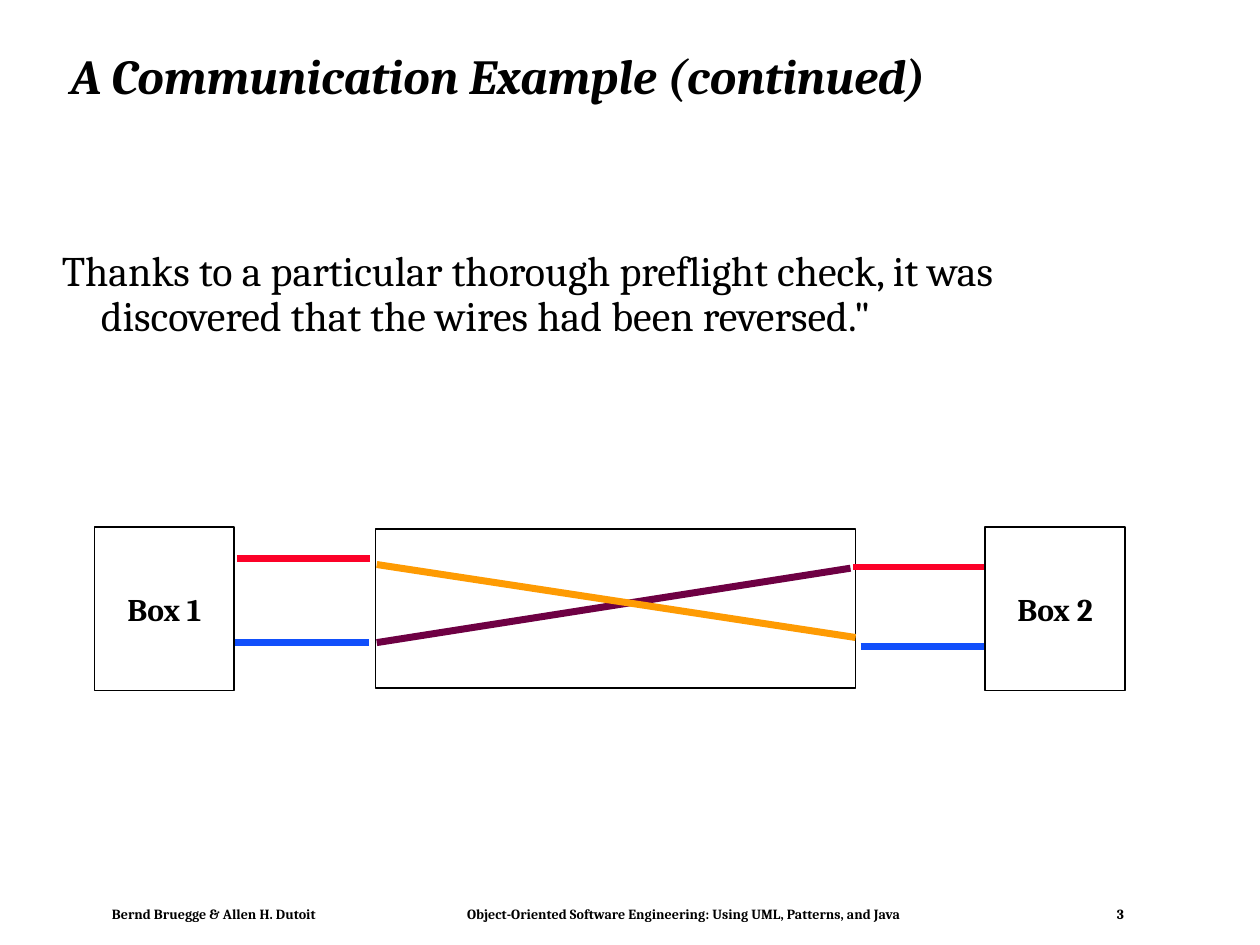
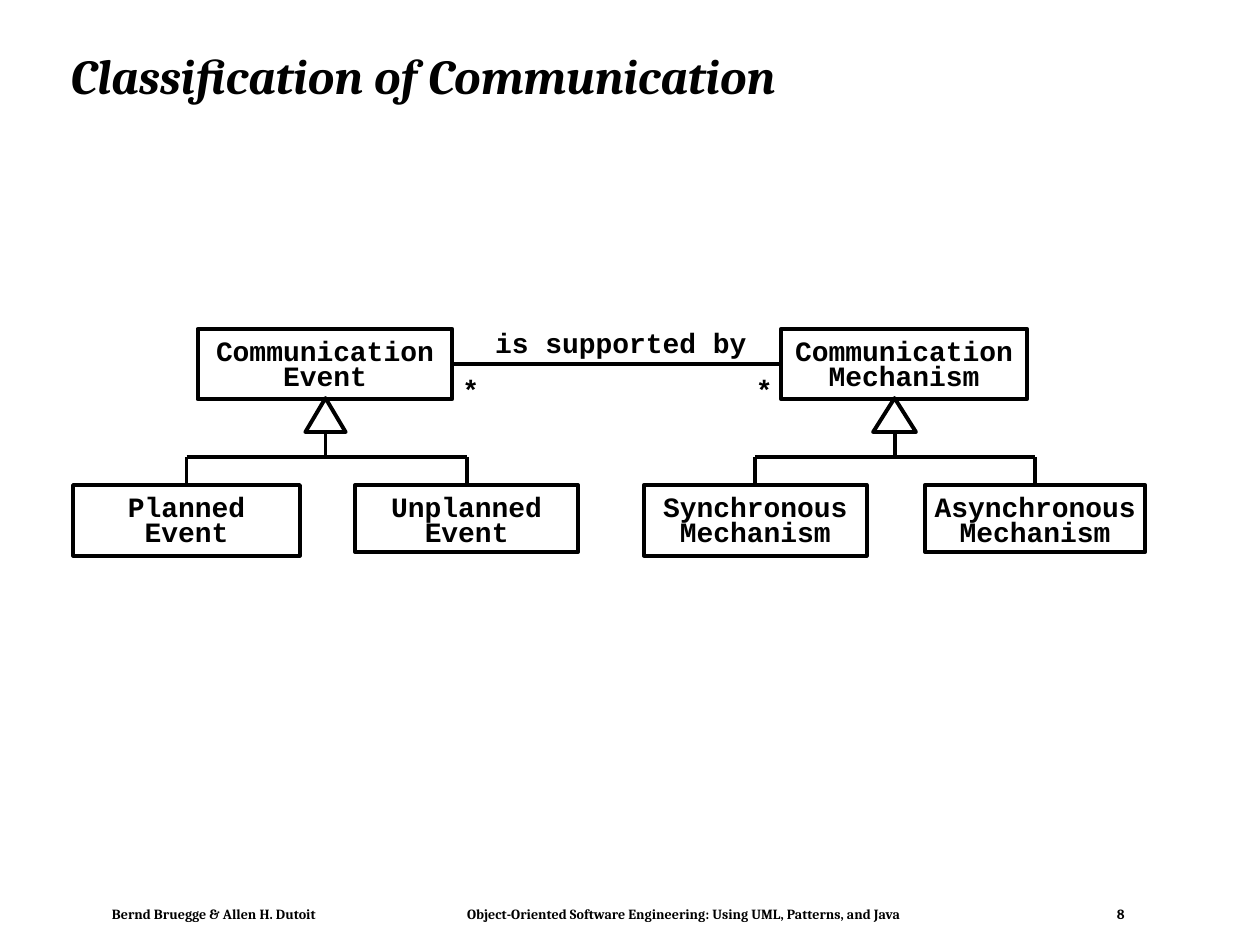
import pptx
import pptx.dml.color
import pptx.enum.shapes
import pptx.enum.text
import pptx.util
from lxml import etree

Pt = pptx.util.Pt
SHAPES = pptx.enum.shapes.MSO_SHAPE
ALIGN = pptx.enum.text.PP_ALIGN
ANCHOR = pptx.enum.text.MSO_ANCHOR
AUTOSIZE = pptx.enum.text.MSO_AUTO_SIZE
DRAWING = "http://schemas.openxmlformats.org/drawingml/2006/main"
TOP, LEFT, RIGHT = 0, 1, 3

# Shared look
BLACK, WHITE = "000000", "FFFFFF"
RED, BLUE, PLUM, ORANGE = "FC0128", "114FFB", "6E0043", "FE9B03"
THIN, UML_LINE, WIRE = 1, 2.25, 4
TITLE_FONT = dict(name="Cambria", size=Pt(28), bold=True, italic=True)
BODY_FONT = dict(name="Cambria", size=Pt(24))
BOX_FONT = dict(name="Cambria", size=Pt(18), bold=True)
FOOTER_FONT = dict(name="Cambria", size=Pt(8), bold=True)
UML_FONT = dict(name="Courier New", size=Pt(16), bold=True)
NO_MARGINS = dict(margin_left=0, margin_right=0, margin_top=0, margin_bottom=0,
                  auto_size=AUTOSIZE.NONE, word_wrap=False)
TITLE_AREA = (33.1, 17.3, 642.2, 55.4)
BODY_AREA = (28.1, 102.2, 650.2, 387.4)
FOOTER_TOP = 517.7
FOOTER = [(64, "Bernd Bruegge & Allen H. Dutoit"),
          (266.9, "Object-Oriented Software Engineering: Using UML, Patterns, and Java")]
PAGE_NUMBER_LEFT = 638.3

# Slide content: areas are left, top, width, height
WIRING = dict(
    title="A Communication Example (continued)", page=3,
    finding="Thanks to a particular thorough preflight check, it was "
            "discovered that the wires had been reversed.\"",
    conduit=(214.6, 302.4, 274.3, 90.7),
    wires=[(RED, 135.4, 319, 211.7, 319), (BLUE, 131.8, 367.2, 211, 367.2),
           (BLUE, 491.8, 369.4, 563.8, 369.4), (RED, 487.4, 324, 565.2, 324),
           (PLUM, 215.3, 367.2, 486, 324.7), (ORANGE, 215.3, 322.6, 488.9, 364.3)],
    boxes=[("Box 1", 54), ("Box 2", 563)],
    box_top=301, box_size=(79.9, 93.6))

CLASSIFICATION = dict(
    title="Classification of Communication", page=8,
    families=[
        dict(parent=(["Communication", "Event"], 113, 145.4, 40.3),
             trunk=186, arrow_width=23,
             children=[(["Planned", "Event"], 41.8, 129.6, 40.3),
                       (["Unplanned", "Event"], 203, 127.4, 38.2)]),
        dict(parent=(["Communication", "Mechanism"], 446.4, 140.4, 40.3),
             trunk=511.2, arrow_width=24.5,
             children=[(["Synchronous", "Mechanism"], 367.9, 127.4, 40.3),
                       (["Asynchronous", "Mechanism"], 528.5, 126, 38.2)])],
    labels=[("is supported by", 283, 185.8), ("*", 264.2, 213.1), ("*", 432, 213.1)])
PARENT_TOP, ARROW_TOP, ARROW_HEIGHT, BAR_TOP, CHILD_TOP = 187.9, 227.5, 19.4, 261.4, 277.2


def color(value):
    return pptx.dml.color.RGBColor.from_string(value)


def points(values):
    return [Pt(value) for value in values]


def apply(target, formats):
    for name, value in formats.items():
        setattr(target, name, value)


def write(frame, lines, font, frame_format, paragraph_format):
    apply(frame, frame_format)
    for number, line in enumerate(lines):
        paragraph = frame.add_paragraph() if number else frame.paragraphs[0]
        apply(paragraph, paragraph_format)
        run = paragraph.add_run()
        run.text = line
        apply(run.font, font)
        run.font.color.rgb = color(BLACK)


def add_label(slide, text, left, top, font):
    label = slide.shapes.add_textbox(*points((left, top, 20, 19.4)))
    write(label.text_frame, [text], font, NO_MARGINS, {})


def add_outline(slide, kind, area, width, fill=WHITE):
    outline = slide.shapes.add_shape(kind, *points(area))
    outline.shadow.inherit = False
    if fill:
        outline.fill.solid()
        outline.fill.fore_color.rgb = color(fill)
    else:
        outline.fill.background()
    outline.line.color.rgb = color(BLACK)
    outline.line.width = Pt(width)
    return outline


def add_line(slide, ends, width, stroke=BLACK):
    line = slide.shapes.add_connector(
        pptx.enum.shapes.MSO_CONNECTOR.STRAIGHT, *points(ends))
    line.line.color.rgb = color(stroke)
    line.line.width = Pt(width)
    etree.SubElement(line._element.spPr, f"{{{DRAWING}}}effectLst")
    return line


def place(placeholder, area):
    apply(placeholder, dict(zip(("left", "top", "width", "height"), points(area))))


def add_slide(deck, layout, content):
    slide = deck.slides.add_slide(deck.slide_layouts.get_by_name(layout))
    place(slide.shapes.title, TITLE_AREA)
    write(slide.shapes.title.text_frame, [content["title"]], TITLE_FONT,
          dict(vertical_anchor=ANCHOR.MIDDLE, auto_size=AUTOSIZE.NONE),
          dict(alignment=ALIGN.LEFT, line_spacing=0.9))
    for left, text in FOOTER + [(PAGE_NUMBER_LEFT, str(content["page"]))]:
        add_label(slide, text, left, FOOTER_TOP, FOOTER_FONT)
    return slide


def build_wiring(deck, content):
    slide = add_slide(deck, "Title and Content", content)

    # Finding, with a hanging indent and no bullet
    finding = slide.placeholders[1]
    place(finding, BODY_AREA)
    write(finding.text_frame, [content["finding"]], BODY_FONT,
          dict(margin_top=Pt(40.6), auto_size=AUTOSIZE.NONE),
          dict(line_spacing=0.9, space_before=Pt(0)))
    properties = finding.text_frame.paragraphs[0]._p.get_or_add_pPr()
    properties.set("marL", str(Pt(22.3)))
    properties.set("indent", str(-Pt(22.3)))
    etree.SubElement(properties, f"{{{DRAWING}}}buNone")

    # Conduit, wires and the boxes they join
    add_outline(slide, SHAPES.RECTANGLE, content["conduit"], THIN)
    for stroke, *ends in content["wires"]:
        add_line(slide, ends, WIRE, stroke)
    for name, left in content["boxes"]:
        box = add_outline(slide, SHAPES.RECTANGLE,
                          (left, content["box_top"], *content["box_size"]), THIN)
        write(box.text_frame, [name], BOX_FONT,
              dict(vertical_anchor=ANCHOR.MIDDLE, word_wrap=False),
              dict(alignment=ALIGN.CENTER))


def add_class(slide, lines, left, top, width, height):
    box = add_outline(slide, SHAPES.RECTANGLE, (left, top, width, height), UML_LINE)
    write(box.text_frame, lines, UML_FONT,
          {**NO_MARGINS, "margin_top": Pt(7.3), "vertical_anchor": ANCHOR.TOP},
          dict(alignment=ALIGN.CENTER, line_spacing=Pt(14.4)))
    return box


def add_family(slide, family):
    lines, left, width, height = family["parent"]
    parent = add_class(slide, lines, left, PARENT_TOP, width, height)

    # Inheritance arrow and trunk
    trunk, arrow_width = family["trunk"], family["arrow_width"]
    add_outline(slide, SHAPES.ISOSCELES_TRIANGLE,
                (trunk - arrow_width / 2, ARROW_TOP, arrow_width, ARROW_HEIGHT),
                UML_LINE, fill=None)
    add_line(slide, (trunk, BAR_TOP, trunk, ARROW_TOP + ARROW_HEIGHT), UML_LINE)

    # Subclasses hang from one bar
    middles = []
    for lines, left, width, height in family["children"]:
        child = add_class(slide, lines, left, CHILD_TOP, width, height)
        middle = left + width / 2
        branch = add_line(slide, (middle, BAR_TOP, middle, CHILD_TOP), UML_LINE)
        branch.end_connect(child, TOP)
        middles.append(middle)
    add_line(slide, (middles[0], BAR_TOP, middles[-1], BAR_TOP), UML_LINE)
    return parent


def build_classification(deck, content):
    slide = add_slide(deck, "Title Only", content)
    event, mechanism = [add_family(slide, family) for family in content["families"]]
    support = add_line(slide, (0, 0, 0, 0), UML_LINE)
    support.begin_connect(event, RIGHT)
    support.end_connect(mechanism, LEFT)
    for text, left, top in content["labels"]:
        add_label(slide, text, left, top, UML_FONT)


def main():
    deck = pptx.Presentation()
    deck.slide_width, deck.slide_height = Pt(720), Pt(540)
    build_wiring(deck, WIRING)
    build_classification(deck, CLASSIFICATION)
    deck.save("out.pptx")


if __name__ == "__main__":
    main()
